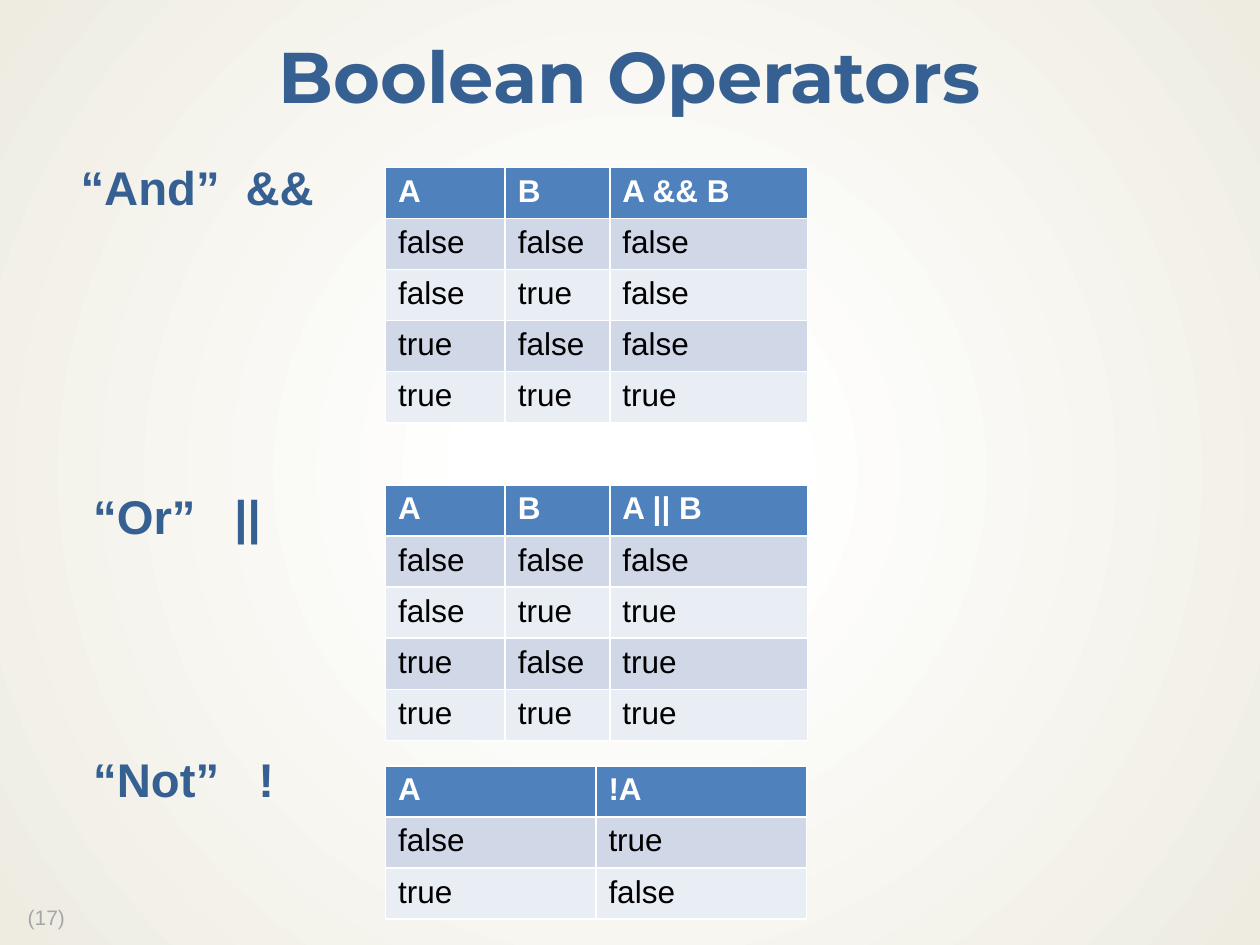
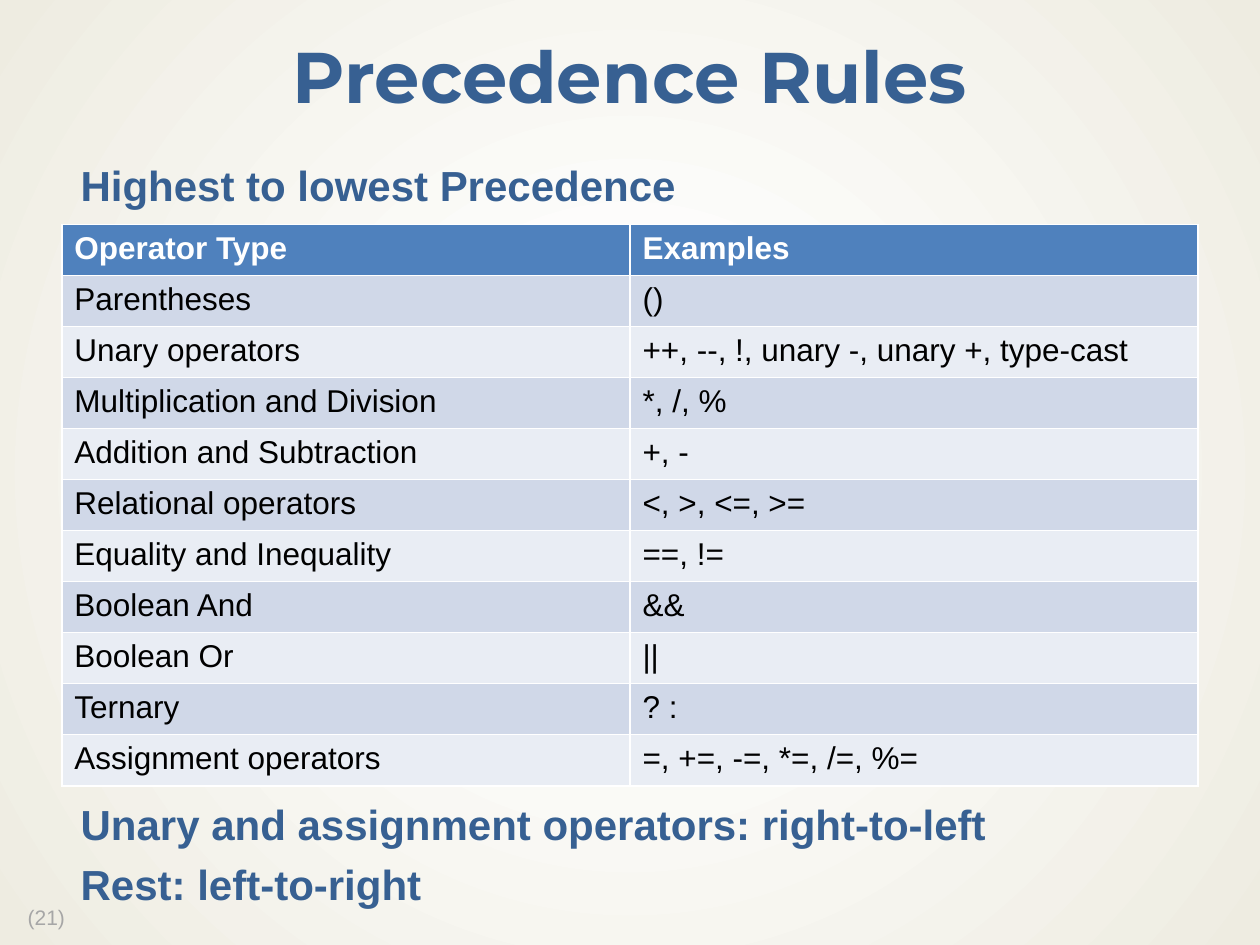
"""Build two slides on Boolean operators and operator precedence."""
from pptx import Presentation
from pptx.dml.color import RGBColor
from pptx.enum.text import MSO_ANCHOR, MSO_AUTO_SIZE, PP_ALIGN
from pptx.oxml import parse_xml
from pptx.oxml.ns import nsdecls
from pptx.util import Inches, Pt

CENTER = PP_ALIGN.CENTER
MIDDLE = MSO_ANCHOR.MIDDLE
NO_AUTOFIT = MSO_AUTO_SIZE.NONE

BLUE, GRAY, WHITE, BLACK = "376092", "A6A6A6", "FFFFFF", "000000"
HEADER_FILL, BAND_FILLS = "4F81BD", ("D0D8E8", "E9EDF4")
TITLE_FONT, TEXT_FONT = "Montserrat", "Arial"
ROW_HEIGHT = 4.46 / 11
LINE_SPACING = 0.9
LINE_HEIGHT, LINE_PITCH = 1.03, 1.38
TRUTH_COLUMNS = (0.95, 0.83, 1.57)

# Each note is (lines below the previous note, indent, tab stop, text).
SLIDES = [
    {
        "title": "Boolean Operators",
        "number": "(17)",
        "note_size": 27,
        "notes": [
            (0, 0, 1.31, "“And”\t&&"),
            (5, 0.1, 1.12, "“Or”\t||"),
            (4, 0.1, 1.31, "“Not”\t!"),
        ],
        "tables": [
            (3.06, 1.33, TRUTH_COLUMNS, [
                ("A", "B", "A && B"),
                ("false", "false", "false"),
                ("false", "true", "false"),
                ("true", "false", "false"),
                ("true", "true", "true"),
            ]),
            (3.06, 3.85, TRUTH_COLUMNS, [
                ("A", "B", "A || B"),
                ("false", "false", "false"),
                ("false", "true", "true"),
                ("true", "false", "true"),
                ("true", "true", "true"),
            ]),
            (3.06, 6.08, (1.67, 1.67), [
                ("A", "!A"),
                ("false", "true"),
                ("true", "false"),
            ]),
        ],
    },
    {
        "title": "Precedence Rules",
        "number": "(21)",
        "note_size": 24,
        "notes": [
            (0, 0, None, "Highest to lowest Precedence"),
            (11, 0, None, "Unary and assignment operators: right-to-left"),
            (1, 0, None, "Rest: left-to-right"),
        ],
        "tables": [
            (0.49, 1.78, (4.51, 4.51), [
                ("Operator Type", "Examples"),
                ("Parentheses", "()"),
                ("Unary operators", "++, --, !, unary -, unary +, type-cast"),
                ("Multiplication and Division", "*, /, %"),
                ("Addition and Subtraction", "+, -"),
                ("Relational operators", "<, >, <=, >="),
                ("Equality and Inequality", "==, !="),
                ("Boolean And", "&&"),
                ("Boolean Or", "||"),
                ("Ternary", "? :"),
                ("Assignment operators", "=, +=, -=, *=, /=, %="),
            ]),
        ],
    },
]


def color(hex_value):
    """Return the colour for a hex string."""
    return RGBColor.from_string(hex_value)


def set_font(paragraph, size, hex_value, bold=False, name=TEXT_FONT):
    """Set the font of a whole paragraph."""
    font = paragraph.font
    font.name, font.size, font.bold = name, Pt(size), bold
    font.color.rgb = color(hex_value)


def place(shape, left, top, width, height):
    """Move and size a shape, in inches."""
    shape.left, shape.top = Inches(left), Inches(top)
    shape.width, shape.height = Inches(width), Inches(height)


def set_margins(frame, left, right, vertical):
    """Set the inner margins of a text frame, in inches."""
    frame.margin_left, frame.margin_right = Inches(left), Inches(right)
    frame.margin_top = frame.margin_bottom = Inches(vertical)


def set_background(master):
    """Give the master a round gradient from white to cream."""
    common = master.element.cSld
    if common.bg is not None:
        common.remove(common.bg)
    common.insert(0, parse_xml(
        f'<p:bg {nsdecls("p", "a")}><p:bgPr><a:gradFill rotWithShape="1"><a:gsLst>'
        '<a:gs pos="18000"><a:srgbClr val="FFFFFF"><a:alpha val="53000"/></a:srgbClr></a:gs>'
        '<a:gs pos="100000"><a:srgbClr val="EEECE1"/></a:gs></a:gsLst>'
        '<a:path path="circle"><a:fillToRect l="50000" t="50000" r="50000" b="50000"/></a:path>'
        '</a:gradFill><a:effectLst/></p:bgPr></p:bg>'))


def add_title(slide, text):
    """Fill and format the title placeholder."""
    title = slide.shapes.title
    place(title, 0, 0.17, 10, 0.94)
    frame = title.text_frame
    frame.text = text
    frame.auto_size = NO_AUTOFIT
    frame.vertical_anchor = MIDDLE
    set_margins(frame, 0.13, 0.13, 0.06)
    paragraph = frame.paragraphs[0]
    paragraph.alignment, paragraph.line_spacing = CENTER, LINE_SPACING
    set_font(paragraph, 41, BLUE, True, TITLE_FONT)


def add_number(slide, text):
    """Add the slide number in the lower left corner."""
    frame = slide.shapes.add_textbox(
        Inches(0.07), Inches(7.15), Inches(0.56), Inches(0.28)).text_frame
    set_margins(frame, 0.15, 0.1, 0.05)
    paragraph = frame.paragraphs[0]
    paragraph.text, paragraph.line_spacing = text, LINE_SPACING
    set_font(paragraph, 12, GRAY)


def add_notes(slide, notes, size):
    """Add the body text, spaced by whole lines around the tables."""
    frame = slide.shapes.add_textbox(
        Inches(0.38), Inches(1.25), Inches(9.25), Inches(5.65)).text_frame
    frame.word_wrap = True
    set_margins(frame, 0.26, 0.12, 0.06)
    for index, (lines, indent, tab_stop, text) in enumerate(notes):
        paragraph = frame.add_paragraph() if index else frame.paragraphs[0]
        paragraph.text, paragraph.line_spacing = text, LINE_SPACING
        if lines:
            paragraph.space_before = Pt(size * (lines * LINE_PITCH - LINE_HEIGHT))
        properties = paragraph._p.get_or_add_pPr()
        properties.set("marL", str(Inches(indent)))
        if tab_stop:
            properties.append(parse_xml(
                f'<a:tabLst {nsdecls("a")}><a:tab pos="{Inches(tab_stop)}" algn="l"/></a:tabLst>'))
        set_font(paragraph, size, BLUE, True)


def add_grid(slide, left, top, widths, rows):
    """Add a table with a header row and banded rows."""
    table = slide.shapes.add_table(
        len(rows), len(widths), Inches(left), Inches(top),
        Inches(sum(widths)), Inches(ROW_HEIGHT * len(rows))).table
    for column, width in zip(table.columns, widths):
        column.width = Inches(width)
    for row_index, row in enumerate(rows):
        is_header = row_index == 0
        fill = HEADER_FILL if is_header else BAND_FILLS[(row_index - 1) % 2]
        for column_index, text in enumerate(row):
            cell = table.cell(row_index, column_index)
            cell.text = text
            cell.fill.solid()
            cell.fill.fore_color.rgb = color(fill)
            set_font(cell.text_frame.paragraphs[0], 18,
                     WHITE if is_header else BLACK, is_header)


def main():
    """Build and save the presentation."""
    presentation = Presentation()
    presentation.slide_width, presentation.slide_height = Inches(10), Inches(7.5)
    set_background(presentation.slide_master)
    title_only = presentation.slide_layouts.get_by_name("Title Only")
    for content in SLIDES:
        slide = presentation.slides.add_slide(title_only)
        add_number(slide, content["number"])
        add_title(slide, content["title"])
        add_notes(slide, content["notes"], content["note_size"])
        for table in content["tables"]:
            add_grid(slide, *table)
    presentation.save("out.pptx")


if __name__ == "__main__":
    main()
